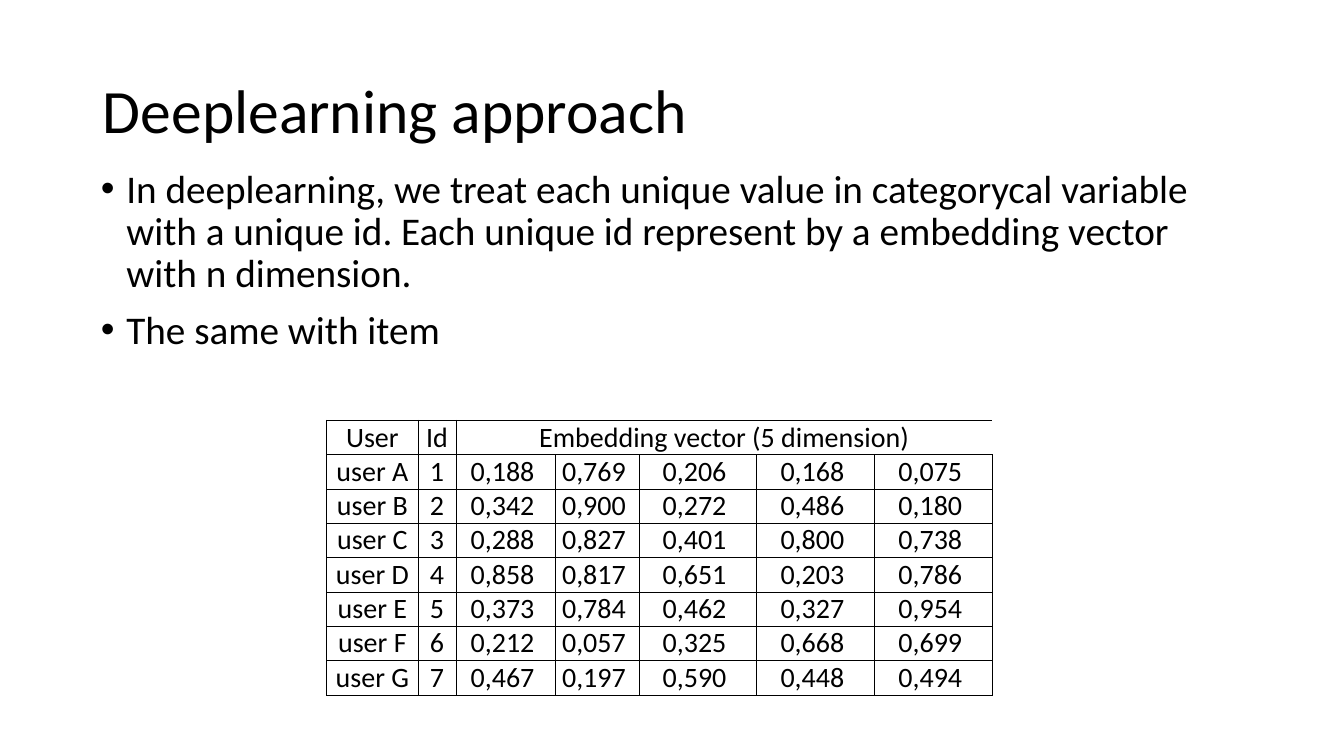
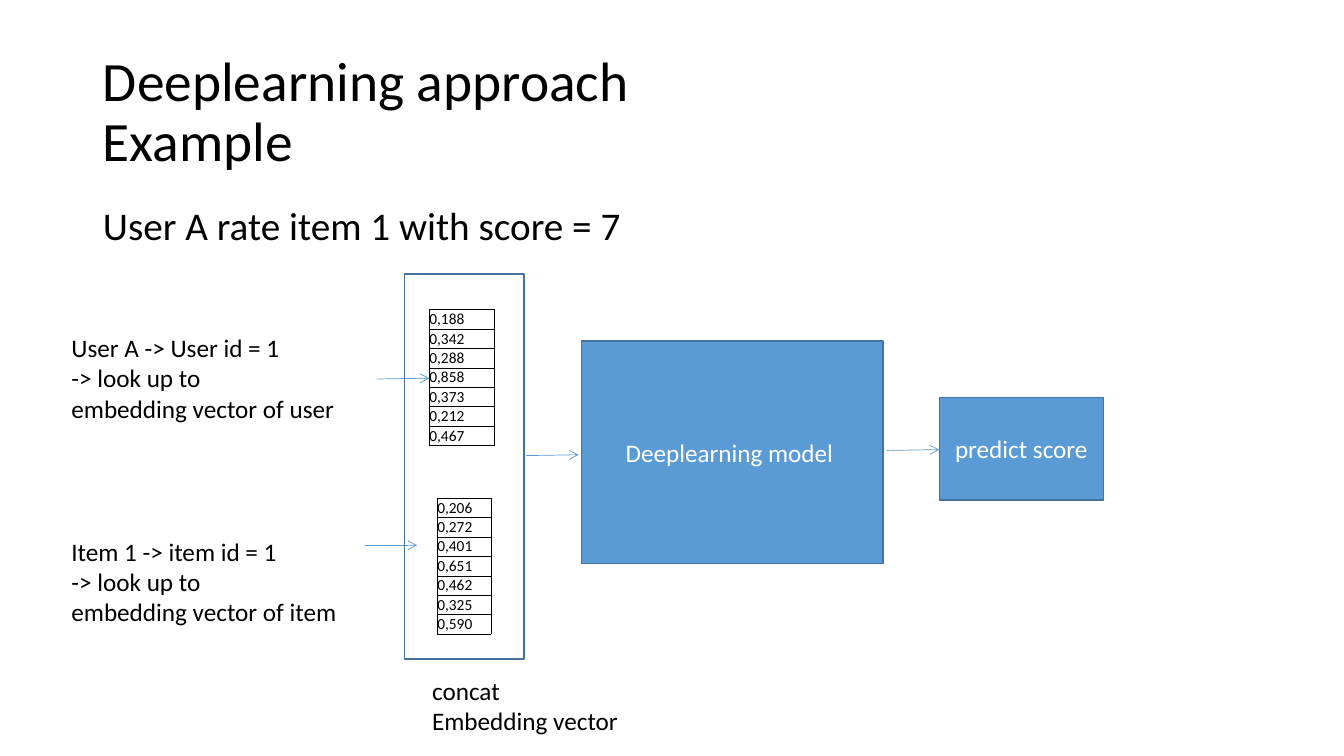
from lxml import etree
from pptx import Presentation, util as u
from pptx.dml.color import RGBColor
from pptx.enum import shapes, text
from pptx.oxml.ns import qn

FONT = "Calibri"
BLACK, WHITE, BLUE, EDGE = "000000", "FFFFFF", "5B9BD5", "43739E"
LEFT, MID = text.PP_ALIGN.LEFT, text.PP_ALIGN.CENTER
TOP, CORE = text.MSO_ANCHOR.TOP, text.MSO_ANCHOR.MIDDLE
WIDE = 29.21
HEAD = ["User", "Id", "Embedding vector (5 dimension)"]
DATA = [
    ["0,188", "0,769", "0,206", "0,168", "0,075"],
    ["0,342", "0,900", "0,272", "0,486", "0,180"],
    ["0,288", "0,827", "0,401", "0,800", "0,738"],
    ["0,858", "0,817", "0,651", "0,203", "0,786"],
    ["0,373", "0,784", "0,462", "0,327", "0,954"],
    ["0,212", "0,057", "0,325", "0,668", "0,699"],
    ["0,467", "0,197", "0,590", "0,448", "0,494"],
]


def tint(fill, hue):
    """Give a fill a solid colour, or none."""
    if hue is None:
        fill.background()
    else:
        fill.solid()
        fill.fore_color.rgb = RGBColor.from_string(hue)


def write(frame, lines, size=18, hue=BLACK, align=LEFT, lead=None, before=None, indent=None):
    """Fill a text frame with formatted paragraphs."""
    frame.text = "\n".join(lines)
    for para in frame.paragraphs:
        para.alignment, para.line_spacing = align, lead
        if before is not None:
            para.space_before = u.Pt(before)
        if indent is not None:
            props = para._p.get_or_add_pPr()
            props.set("marL", str(u.Cm(indent)))
            props.set("indent", str(-u.Cm(indent)))
            if not indent:
                etree.SubElement(props, qn("a:buNone"))
        for run in para.runs:
            run.font.name, run.font.size = FONT, u.Pt(size)
            tint(run.font.fill, hue)
        for gap in para._p.findall(qn("a:br")):
            etree.SubElement(gap, qn("a:rPr"), sz=str(round(size * 100)))


def place(shape, x, y, w, h, anchor):
    """Move a placeholder and fix its text box."""
    shape.left, shape.top, shape.width, shape.height = map(u.Cm, (x, y, w, h))
    frame = shape.text_frame
    frame.word_wrap, frame.auto_size = True, text.MSO_AUTO_SIZE.NONE
    frame.vertical_anchor = anchor
    return frame


def start(deck, title, size, lines, x, y, h, indent):
    """Add a slide with its title and body text."""
    slide = deck.slides.add_slide(deck.slide_layouts[1])
    head = place(slide.shapes.title, 2.34, 1.02, WIDE, 3.68, CORE)
    write(head, [title], size=size, lead=0.9)
    body = place(slide.placeholders[1], x, y, WIDE, h, TOP)
    write(body, lines, size=28, lead=0.9, before=10, indent=indent)
    return slide


def edge(cell, sides):
    """Draw thin black borders on the named sides of a cell."""
    props = cell._tc.get_or_add_tcPr()
    for side in sides:
        line = etree.SubElement(props, qn("a:ln" + side), w=str(u.Pt(0.5)))
        fill = etree.SubElement(line, qn("a:solidFill"))
        etree.SubElement(fill, qn("a:srgbClr"), val=BLACK)


def grid(slide, rows, x, y, cols, high, size, align=LEFT):
    """Add a bordered table; a short row spans its last cell."""
    box = (x, y, sum(cols), high * len(rows))
    table = slide.shapes.add_table(len(rows), len(cols), *map(u.Cm, box)).table
    table.first_row = table.horz_banding = False
    for col, w in zip(table.columns, cols):
        col.width = u.Cm(w)
    for r, row in enumerate(rows):
        table.rows[r].height = u.Cm(high)
        last = len(row) - 1
        for c, value in enumerate(row):
            cell = table.cell(r, c)
            span = c == last and len(row) < len(cols)
            if span:
                cell.merge(table.cell(r, len(cols) - 1))
            cell.margin_left = cell.margin_right = cell.margin_top = cell.margin_bottom = 0
            cell.vertical_anchor = CORE
            write(cell.text_frame, [value], size=size, align=align)
            edge(cell, "LTB" if span else "LRTB")
            tint(cell.fill, WHITE)


def note(slide, lines, x, y, w, h):
    """Add a plain text box."""
    box = slide.shapes.add_textbox(*map(u.Cm, (x, y, w, h)))
    box.text_frame.word_wrap = True
    write(box.text_frame, lines)


def block(slide, x, y, w, h, label=None, fill=None):
    """Add an outlined rectangle, with an optional label."""
    kind = shapes.MSO_SHAPE.RECTANGLE
    box = slide.shapes.add_shape(kind, *map(u.Cm, (x, y, w, h)))
    box.shadow.inherit = False
    tint(box.fill, fill)
    tint(box.line.fill, EDGE)
    box.line.width = u.Pt(1)
    if label:
        box.text_frame.word_wrap = True
        box.text_frame.vertical_anchor = CORE
        write(box.text_frame, [label], hue=WHITE, align=MID)


def arrow(slide, x, y, rise=0.02, w=1.32):
    """Add a thin arrow that points right."""
    ends = map(u.Cm, (x, y, x + w, y - rise))
    link = slide.shapes.add_connector(shapes.MSO_CONNECTOR.STRAIGHT, *ends)
    tint(link.line.fill, BLUE)
    link.line.width = u.Pt(0.5)
    props = link._element.spPr
    etree.SubElement(props.find(qn("a:ln")), qn("a:tailEnd"), type="arrow")
    etree.SubElement(props, qn("a:effectLst"))


def embed(deck):
    """Build the slide with the embedding table."""
    lines = [
        "In deeplearning, we treat each unique value in categorycal variable with a unique id. "
        "Each unique id represent by a embedding vector with n dimension.",
        "The same with item",
    ]
    slide = start(deck, "Deeplearning approach", 44, lines, 2.29, 4.14, 12.09, 0.64)
    rows = [HEAD]
    for num, (name, row) in enumerate(zip("ABCDEFG", DATA), 1):
        rows.append([f"user {name}", str(num)] + [value + " " for value in row])
    cols = [2.31, 0.95, 2.51, 2.1] + [2.97] * 3
    grid(slide, rows, 8.23, 10.59, cols, 0.77, 20, MID)


def model(deck):
    """Build the slide with the worked example."""
    slide = start(deck, "Deeplearning approach\vExample", 39.6,
                  ["User A rate item 1 with score = 7"], 2.34, 5.08, 1.65, 0)
    for lead, kind, y in (("User A -> User id = 1", "user", 8.25),
                          ("Item 1 -> item id = 1", "item", 13.39)):
        note(slide, [lead, "-> look up to", f"embedding vector of {kind}"], 1.55, y, 8, 2.59)
    for col, x, y, w in ((0, 10.82, 7.8, 1.63), (2, 11.02, 12.55, 1.35)):
        grid(slide, [[row[col]] for row in DATA], x, y, [w], 0.49, 11)
    arrow(slide, 9.5, 9.55)
    arrow(slide, 9.19, 13.74, rise=0)
    block(slide, 10.19, 6.91, 3.02, 9.7)
    note(slide, ["concat", "Embedding vector"], 10.64, 16.89, 5.72, 1.83)
    arrow(slide, 13.26, 11.48)
    block(slide, 14.66, 8.59, 7.59, 5.61, "Deeplearning model ", BLUE)
    arrow(slide, 22.35, 11.35)
    block(slide, 23.67, 10.01, 4.14, 2.59, "predict score", BLUE)


def main():
    """Build and save the deck."""
    deck = Presentation()
    deck.slide_width, deck.slide_height = u.Cm(33.87), u.Cm(19.05)
    embed(deck)
    model(deck)
    deck.save("out.pptx")


if __name__ == "__main__":
    main()
